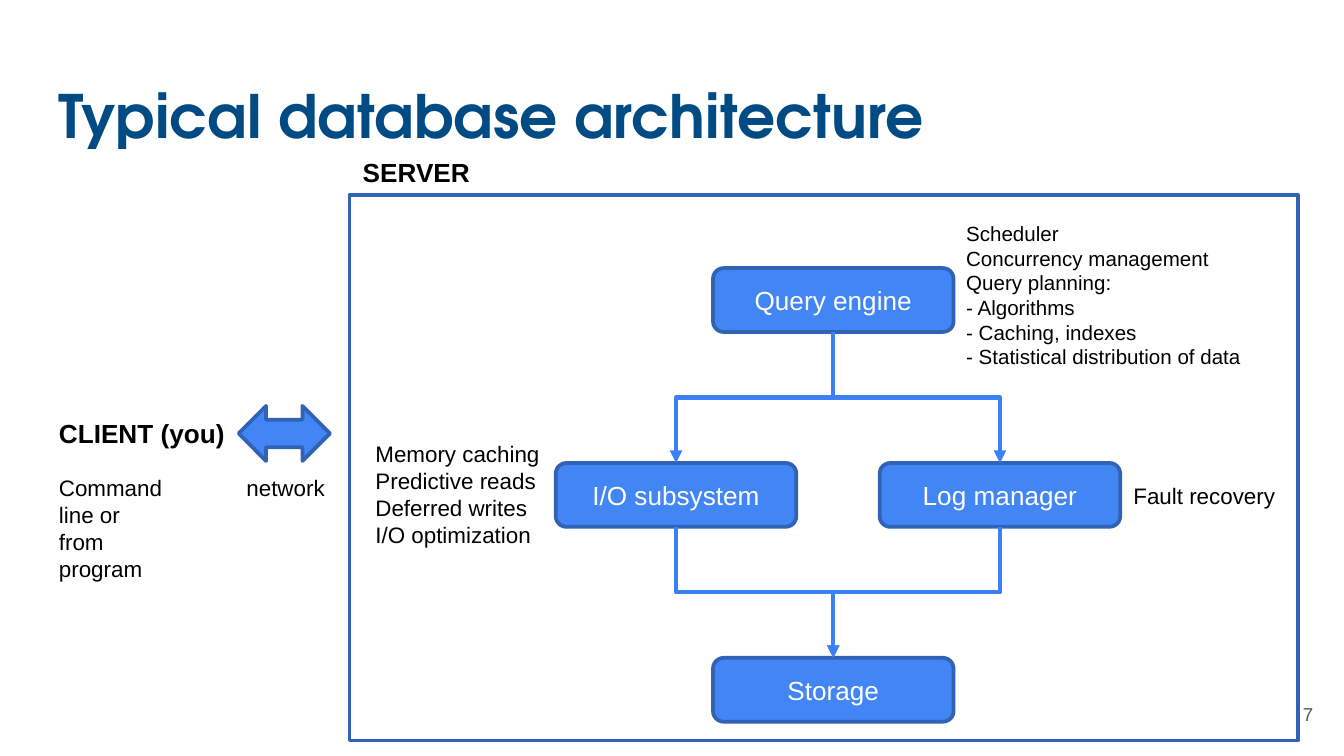
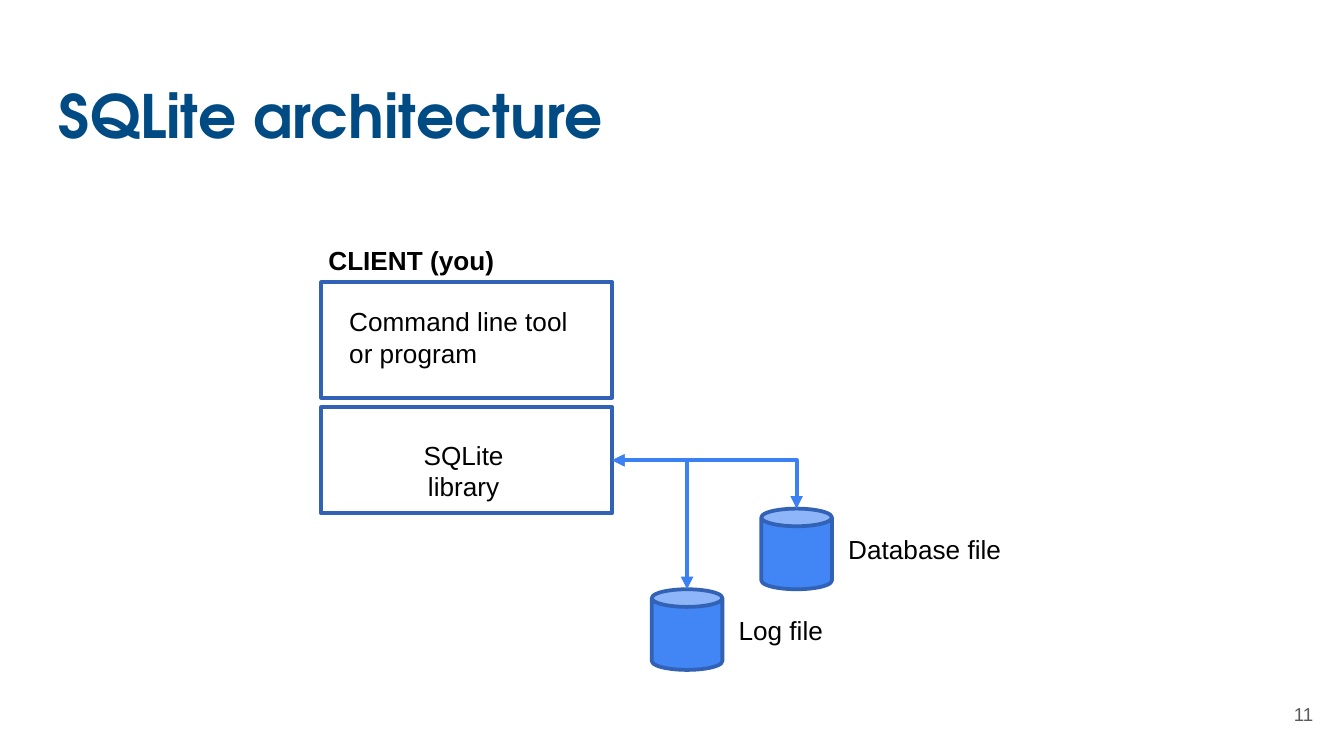
"""Build two slides on database architecture."""
from dataclasses import dataclass
from typing import Any, NamedTuple

from lxml import etree
from pptx import Presentation
from pptx.dml.color import RGBColor
from pptx.enum.shapes import MSO_CONNECTOR, MSO_SHAPE
from pptx.enum.text import MSO_ANCHOR, MSO_AUTO_SIZE, PP_ALIGN
from pptx.oxml.ns import qn
from pptx.util import Inches, Pt

LEFT, CENTER, RIGHT = PP_ALIGN.LEFT, PP_ALIGN.CENTER, PP_ALIGN.RIGHT
TOP, MIDDLE = MSO_ANCHOR.TOP, MSO_ANCHOR.MIDDLE
FIT, FIXED = MSO_AUTO_SIZE.SHAPE_TO_FIT_TEXT, MSO_AUTO_SIZE.NONE
RECT, ROUNDED = MSO_SHAPE.RECTANGLE, MSO_SHAPE.ROUNDED_RECTANGLE
CAN, TWO_WAY = MSO_SHAPE.CAN, MSO_SHAPE.LEFT_RIGHT_ARROW
ELBOW = MSO_CONNECTOR.ELBOW
RECT_TOP, RECT_BOTTOM, RECT_RIGHT, CAN_TOP = 0, 2, 3, 1

WIDTH = Inches(10)
HEIGHT = WIDTH * 9 // 16
COLS, ROWS = 100, 56.25


@dataclass(frozen=True)
class Theme:
    """Colours, fonts and type sizes of the deck."""
    navy: str = "004B83"
    blue: str = "4285F4"
    edge: str = "3162B5"
    wire: str = "3C81F3"
    grey: str = "595959"
    black: str = "000000"
    white: str = "FFFFFF"
    head_font: str = "TeX Gyre Adventor"
    body_font: str = "Arial"
    title: float = 32
    label: float = 14
    note: float = 12
    small: float = 11
    footer: float = 10
    edge_width: float = 2
    wire_width: float = 2.25


THEME = Theme()


class Box(NamedTuple):
    """A place on the grid, in columns and rows."""
    x: float
    y: float
    w: float
    h: float

    def emu(self) -> tuple[int, ...]:
        """Return left, top, width and height in EMU."""
        col, row = WIDTH / COLS, HEIGHT / ROWS
        return tuple(round(v) for v in (self.x * col, self.y * row, self.w * col, self.h * row))


@dataclass(frozen=True)
class Label:
    """A text box with its type style."""
    box: Box
    lines: tuple[str, ...]
    size: float = THEME.note
    bold: bool = False
    align: Any = LEFT
    wrap: bool = True
    color: str = THEME.black
    font: str = THEME.body_font
    anchor: Any = TOP
    fit: Any = FIT
    pad: float = 0.05


def put(obj: Any, values: dict[str, Any]) -> None:
    """Set every attribute named in values."""
    for name, value in values.items():
        setattr(obj, name, value)


def write(tf: Any, label: Label) -> None:
    """Fill a text frame from a label."""
    put(tf, {"word_wrap": label.wrap, "auto_size": label.fit, "vertical_anchor": label.anchor,
             "margin_top": Inches(label.pad), "margin_bottom": Inches(label.pad)})
    for i, line in enumerate(label.lines):
        p = tf.add_paragraph() if i else tf.paragraphs[0]
        p.alignment = label.align
        r = p.add_run()
        r.text = line
        put(r.font, {"name": label.font, "size": Pt(label.size), "bold": label.bold})
        r.font.color.rgb = RGBColor.from_string(label.color)


def add_label(s: Any, label: Label) -> None:
    """Draw a label as a text box."""
    write(s.shapes.add_textbox(*label.box.emu()).text_frame, label)


def add_block(s: Any, kind: Any, box: Box, fill: str = "", text: str = "") -> Any:
    """Draw an outlined preset shape, filled and captioned on demand."""
    sp = s.shapes.add_shape(kind, *box.emu())
    sp.shadow.inherit = False
    if fill:
        sp.fill.solid()
        sp.fill.fore_color.rgb = RGBColor.from_string(fill)
    else:
        sp.fill.background()
    sp.line.color.rgb = RGBColor.from_string(THEME.edge)
    sp.line.width = Pt(THEME.edge_width)
    if text:
        write(sp.text_frame, Label(box, (text,), THEME.label, align=CENTER,
                                   color=THEME.white, anchor=MIDDLE, fit=FIXED))
    return sp


def add_wire(s: Any, a: Any, b: Any, sites: tuple[int, int], place: dict[str, int],
             turn: dict[str, Any], ends: tuple[str, ...], preset: str) -> None:
    """Join two shapes with an elbow connector."""
    c = s.shapes.add_connector(ELBOW, 0, 0, 0, 0)
    c.begin_connect(a, sites[0])
    c.end_connect(b, sites[1])
    put(c, place)
    spPr = c.element.spPr
    put(spPr.xfrm, {"flipH": False, "flipV": False, **turn})
    spPr.find(qn("a:prstGeom")).set("prst", preset)
    c.line.color.rgb = RGBColor.from_string(THEME.wire)
    c.line.width = Pt(THEME.wire_width)
    for end in ends:
        etree.SubElement(spPr.find(qn("a:ln")), qn(end), type="triangle")
    etree.SubElement(spPr, qn("a:effectLst"))


def wire_down(s: Any, a: Any, b: Any) -> None:
    """Run down from the bottom of a, across, and down to the top of b."""
    x1, y1 = a.left + a.width // 2, a.top + a.height
    x2, y2 = b.left + b.width // 2, b.top
    w, h = y2 - y1, abs(x2 - x1)
    place = {"left": (x1 + x2 - w) // 2, "top": (y1 + y2 - h) // 2, "width": w, "height": h}
    rightward = x2 > x1
    turn = {"flipH": rightward, "rot": 270.0 if rightward else 90.0}
    add_wire(s, a, b, (RECT_BOTTOM, RECT_TOP), place, turn, ("a:tailEnd",), "bentConnector3")


def wire_to_can(s: Any, a: Any, can: Any) -> None:
    """Run from the right side of a across and down to the top of a can."""
    x, y = a.left + a.width, a.top + a.height // 2
    place = {"left": x, "top": y, "width": can.left + can.width // 2 - x, "height": can.top - y}
    add_wire(s, a, can, (RECT_RIGHT, CAN_TOP), place, {}, ("a:headEnd", "a:tailEnd"),
             "bentConnector2")


def add_page(prs: Any, title: str, number: int) -> Any:
    """Add a slide with its title and page number."""
    s = prs.slides.add_slide(prs.slide_layouts[6])
    add_label(s, Label(Box(3.4, 4.9, 93.2, 6.3), (title,), THEME.title, True, color=THEME.navy,
                       font=THEME.head_font, fit=FIXED, pad=0.1))
    add_label(s, Label(Box(92.7, 51, 6, 4.3), (str(number),), THEME.footer, align=RIGHT,
                       color=THEME.grey, anchor=MIDDLE, fit=FIXED, pad=0.1))
    return s


def typical_slide(prs: Any) -> None:
    """Draw the client and server diagram."""
    s = add_page(prs, "Typical database architecture", 7)
    add_block(s, RECT, Box(26, 14.5, 70.6, 40.6))
    first, step = 19.95, 14.5
    nodes = (("Query engine", 53.05, 0), ("I/O subsystem", 41.35, 1),
             ("Log manager", 65.45, 1), ("Storage", 53.05, 2))
    engine, io, log, storage = (
        add_block(s, ROUNDED, Box(x, first + tier * step, 17.9, 4.75), THEME.blue, text)
        for text, x, tier in nodes)
    for middle in (io, log):
        wire_down(s, engine, middle)
        wire_down(s, middle, storage)
    add_block(s, TWO_WAY, Box(17.75, 30.2, 6.8, 4.1), THEME.blue)
    for label in (
        Label(Box(70.9, 15.95, 25.2, 12.1),
              ("Scheduler", "Concurrency management", "Query planning:", "- Algorithms",
               "- Caching, indexes", "- Statistical distribution of data"), THEME.small),
        Label(Box(26.95, 32.25, 15.1, 9.1),
              ("Memory caching", "Predictive reads", "Deferred writes", "I/O optimization")),
        Label(Box(83.35, 35.35, 12.6, 3), ("Fault recovery",)),
        Label(Box(26, 11.15, 10.1, 3.4), ("SERVER",), THEME.label, True, wrap=False),
        Label(Box(3.4, 30.55, 14.4, 3.4), ("CLIENT (you)",), THEME.label, True, wrap=False),
        Label(Box(17.35, 34.8, 8.2, 3), ("network",)),
        Label(Box(3.4, 34.8, 10, 9.1), ("Command line or", "from program")),
    ):
        add_label(s, label)


def sqlite_slide(prs: Any) -> None:
    """Draw the embedded library and its files."""
    s = add_page(prs, "SQLite architecture", 11)
    add_block(s, RECT, Box(23.9, 21, 21.65, 8.6))
    library = add_block(s, RECT, Box(23.9, 30.3, 21.65, 7.9))
    for x, y in ((56.65, 37.85), (48.5, 43.85)):
        wire_to_can(s, library, add_block(s, CAN, Box(x, y, 5.25, 6), THEME.blue))
    for label in (
        Label(Box(25, 22.25, 18.5, 5.7), ("Command line tool", "or program"), THEME.label),
        Label(Box(23.45, 17.7, 15.1, 3.4), ("CLIENT (you)",), THEME.label, True),
        Label(Box(27.8, 32.2, 13.4, 3.4), ("SQLite library",), THEME.label, align=CENTER),
        Label(Box(61.9, 39.2, 13.8, 3.4), ("Database file",), THEME.label, align=CENTER),
        Label(Box(53.3, 45.2, 9.6, 3.4), ("Log file",), THEME.label, align=CENTER),
    ):
        add_label(s, label)


def main() -> None:
    """Build and save the deck."""
    prs = Presentation()
    put(prs, {"slide_width": WIDTH, "slide_height": HEIGHT})
    typical_slide(prs)
    sqlite_slide(prs)
    prs.save("out.pptx")


if __name__ == "__main__":
    main()
